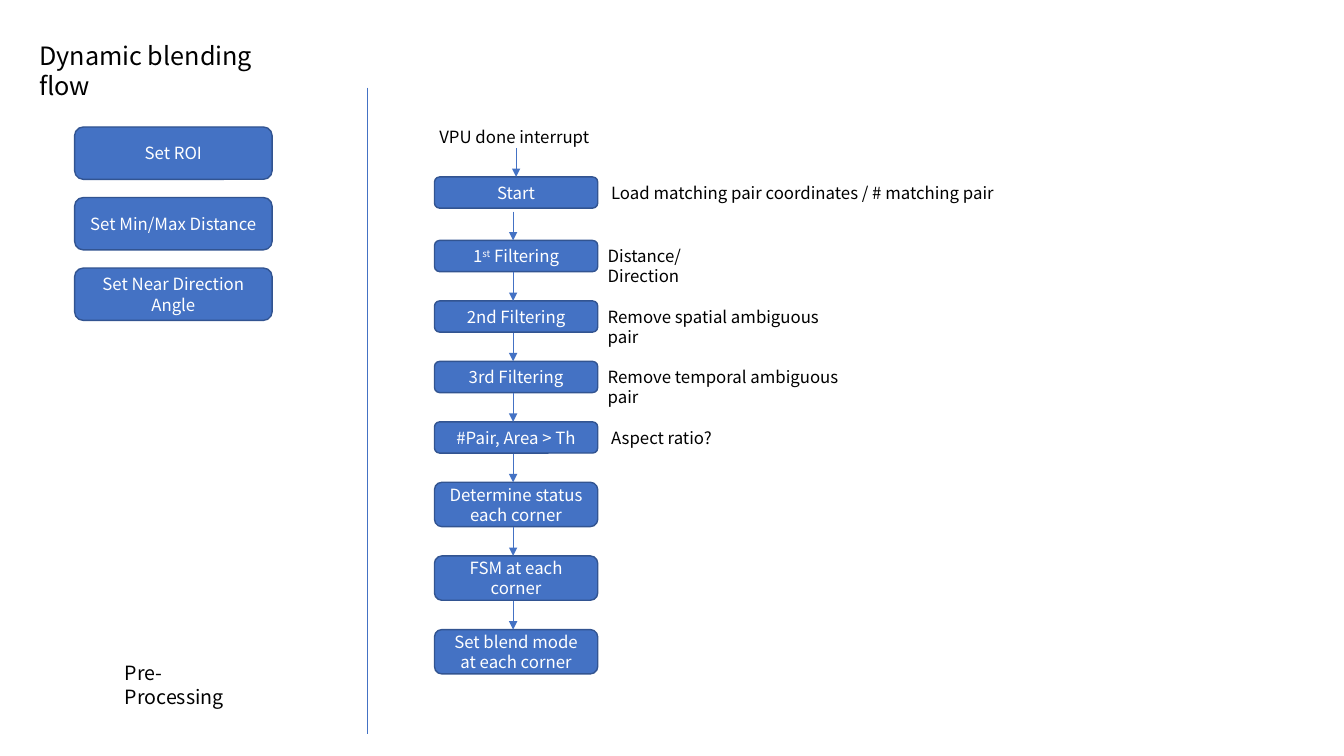
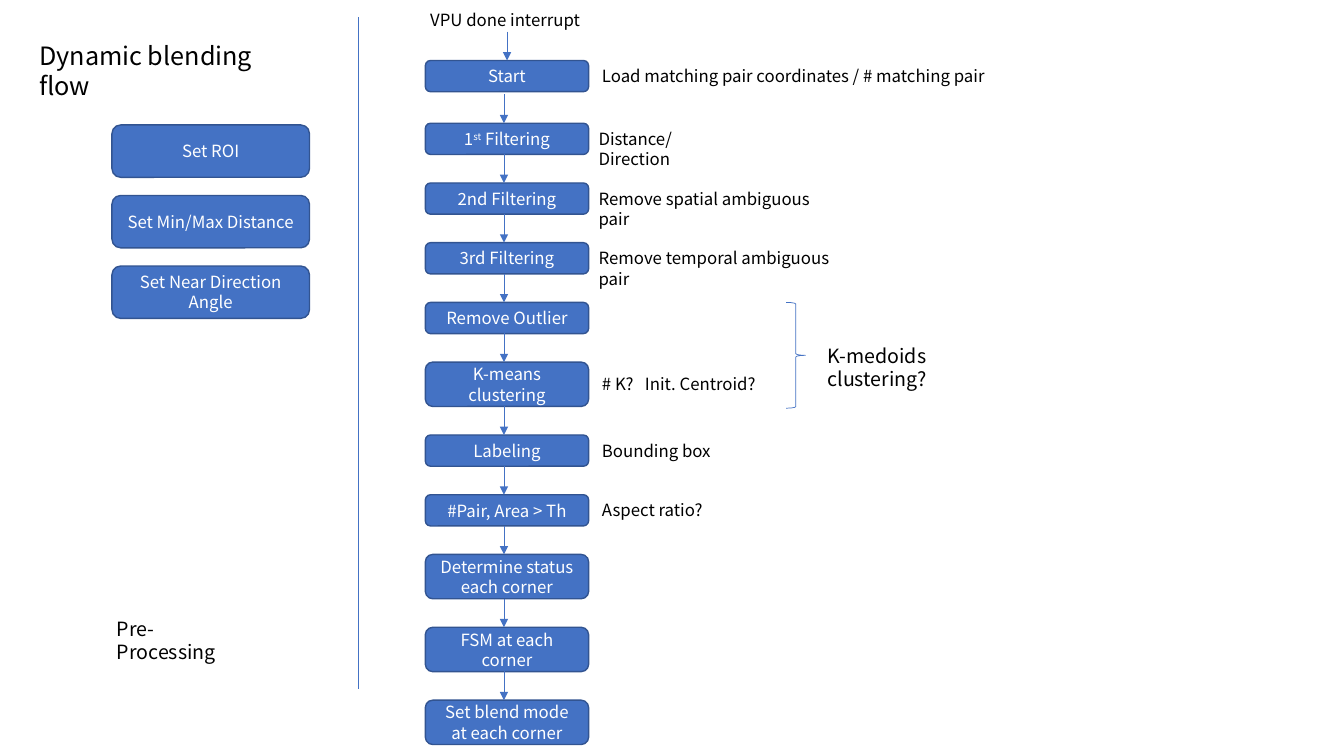
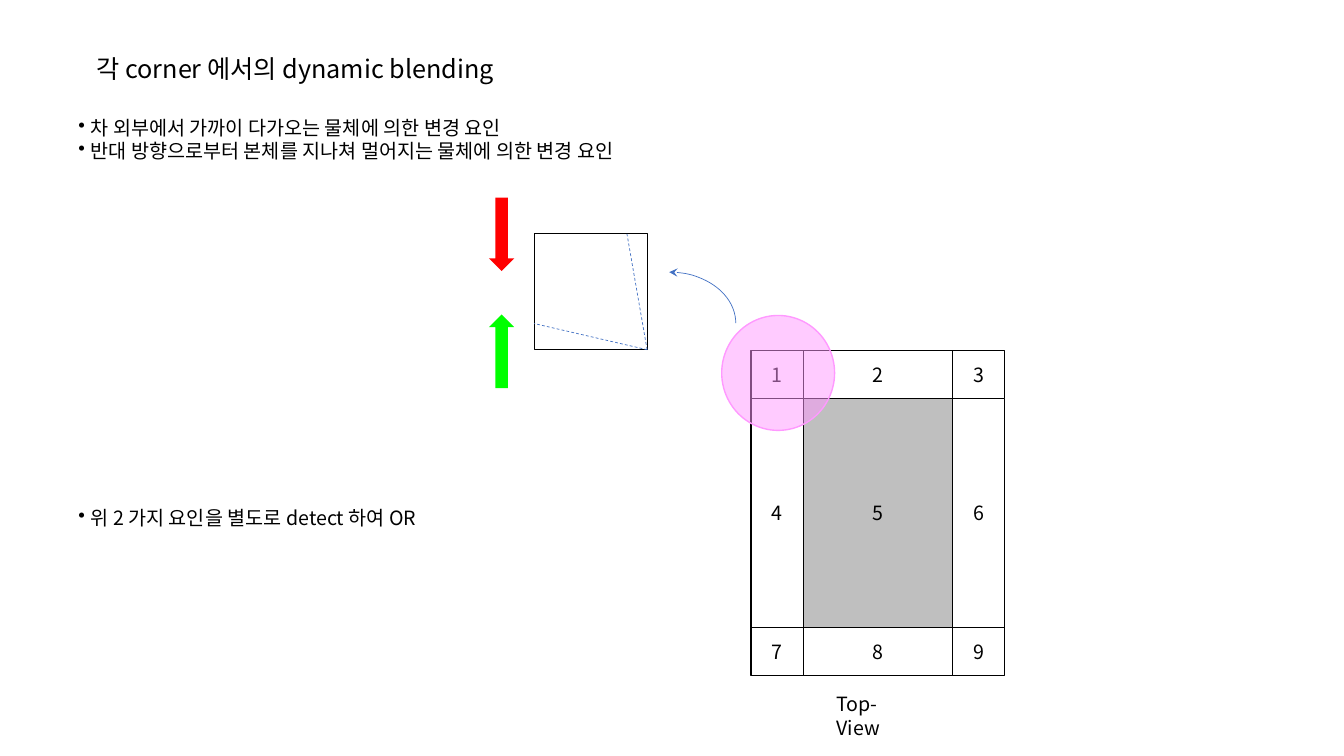
from itertools import product

from lxml import etree
from pptx import Presentation, util as u
from pptx.dml.color import RGBColor
from pptx.enum import dml, shapes, text
from pptx.oxml import ns

W, H = u.Inches(13.33), u.Inches(7.5)
FONT = "Noto Sans CJK KR"
BLUE = RGBColor(0x44, 0x72, 0xC4)
NAVY = RGBColor(0x32, 0x54, 0x91)
WHITE = RGBColor(0xFF, 0xFF, 0xFF)
BLACK = RGBColor(0x00, 0x00, 0x00)
SILVER = RGBColor(0xBF, 0xBF, 0xBF)
GREY = RGBColor(0x80, 0x80, 0x80)
PINK = RGBColor(0xFF, 0x99, 0xFF)
RED = RGBColor(0xFF, 0x00, 0x00)
GREEN = RGBColor(0x00, 0xFF, 0x00)

SHAPE = shapes.MSO_SHAPE
CENTER = text.PP_ALIGN.CENTER

STEP_W, LOW, TALL = 12.15, 4.13, 5.87
SET_W, SET_H, SET_PITCH = 14.7, 6.93, 9.33
ARROW_H = 3.8
NEAR, FAR = STEP_W, 12.4

HEAD_STEPS = [
    ("Start", LOW, ("Load matching pair coordinates / # matching pair", FAR, 30.3)),
    (("1", "st", " Filtering"), LOW, ("Distance/Direction", NEAR, 12.08)),
    ("2nd Filtering", LOW, ("Remove spatial ambiguous pair", NEAR, 19.65)),
    ("3rd Filtering", LOW, ("Remove temporal ambiguous pair", NEAR, 21.08)),
]
CLUSTER_STEPS = [
    ("Remove Outlier", LOW, None),
    ("K-means clustering", TALL, ("# K?   Init. Centroid?", FAR, 13.43)),
    ("Labeling", LOW, ("Bounding box", FAR, 9.6)),
]
TAIL_STEPS = [
    ("#Pair, Area > Th", LOW, ("Aspect ratio?", FAR, 9)),
    ("Determine status each corner", TALL, None),
    ("FSM at each corner", TALL, None),
    ("Set blend mode at each corner", TALL, None),
]


def across(share):
    return int(W * share / 100)


def down(share):
    return int(H * share / 100)


def area(x, y, w, h):
    return across(x), down(y), across(w), down(h)


def sub(parent, tag, **attrs):
    return etree.SubElement(parent, ns.qn(tag), attrs)


def style(p, size, color, align=None):
    p.font.size = u.Pt(size)
    p.font.color.rgb = color
    p.font.name = FONT
    p.alignment = align
    sub(p._p.pPr.find(ns.qn("a:defRPr")), "a:ea", typeface=FONT)


def write(sp, words, size, color, align=None):
    p = sp.text_frame.paragraphs[0]
    style(p, size, color, align)
    parts = (words,) if isinstance(words, str) else words
    for i, part in enumerate(parts):
        r = p.add_run()
        r.text = part
        if i == 1:
            r._r.get_or_add_rPr().set("baseline", "30000")


def label(s, words, x, y, w, h=4, size=12):
    sp = s.shapes.add_textbox(*area(x, y, w, h))
    sp.text_frame.word_wrap = True
    write(sp, words, size, BLACK)


def title(s, words, x, y, w):
    label(s, words, x, y, w, 5.33, 18)


def caption(s, words, x, y, w):
    label(s, words, x, y, w, 4.53, 14)


def bullets(s, lines, x, y, w, h):
    tf = s.shapes.add_textbox(*area(x, y, w, h)).text_frame
    tf.word_wrap = True
    for i, line in enumerate(lines):
        p = tf.paragraphs[0] if i == 0 else tf.add_paragraph()
        p.text = line
        style(p, 14, BLACK)
        pPr = p._p.pPr
        indent = u.Inches(0.12)
        pPr.set("marL", str(indent))
        pPr.set("indent", str(-indent))
        bullet = sub(pPr, "a:buChar", char="•")
        pPr.find(ns.qn("a:defRPr")).addprevious(bullet)


def figure(s, kind, x, y, w, h, fill=None, line=None, weight=0.5):
    sp = s.shapes.add_shape(kind, *area(x, y, w, h))
    sp.shadow.inherit = False
    if fill is None:
        sp.fill.background()
    else:
        sp.fill.solid()
        sp.fill.fore_color.rgb = fill
    if line is None:
        sp.line.fill.background()
    else:
        sp.line.color.rgb = line
        sp.line.width = u.Pt(weight)
    return sp


def step(s, words, x, y, w, h):
    sp = figure(s, SHAPE.ROUNDED_RECTANGLE, x, y, w, h, BLUE, NAVY, 1)
    sp.text_frame.word_wrap = True
    write(sp, words, 12, WHITE, CENTER)


def line(s, x1, y1, x2, y2, arrow=False, dash=False):
    c = s.shapes.add_connector(shapes.MSO_CONNECTOR.STRAIGHT,
                               across(x1), down(y1), across(x2), down(y2))
    c.line.color.rgb = BLUE
    c.line.width = u.Pt(0.5)
    if dash:
        c.line.dash_style = dml.MSO_LINE.DASH
    if arrow:
        sub(c.line._get_or_add_ln(), "a:tailEnd", type="triangle")
    sub(c._element.spPr, "a:effectLst")


def settings(s, x, y):
    for i, words in enumerate(("Set ROI", "Set Min/Max Distance", "Set Near Direction Angle")):
        step(s, words, x, y + i * SET_PITCH, SET_W, SET_H)


def flow(s, steps, x, y, gap):
    label(s, "VPU done interrupt", x - 0.38, y - 7.33, 12.75)
    for i, (words, h, note) in enumerate(steps):
        step(s, words, x, y, STEP_W, h)
        shaft = x + (5.85 if i else STEP_W / 2)
        line(s, shaft, y - ARROW_H, shaft, y, arrow=True)
        if note:
            remark, offset, w = note
            label(s, remark, x + offset, y + (h - 4) / 2, w)
        y += h + gap + (0 if i else 0.4)


def flow_slide(s, steps, x, y, gap, divider, set_at, pre_at):
    title(s, "Dynamic blending flow", 2.18, 4.67, 21.38)
    line(s, *divider)
    settings(s, *set_at)
    caption(s, "Pre-Processing", *pre_at, 11.33)
    flow(s, steps, x, y, gap)


def top_view(s, x, y):
    widths, heights = (3.9, 11.1, 3.9), (6.27, 30.4, 6.27)
    cells = [(row * 3 + col + 1, row, col) for row, col in product(range(3), repeat=2)]
    for n, row, col in sorted(cells, key=lambda cell: cell[0] != 5):
        fill, edge = (SILVER, GREY) if n == 5 else (WHITE, BLACK)
        sp = figure(s, SHAPE.RECTANGLE, x + sum(widths[:col]), y + sum(heights[:row]),
                    widths[col], heights[row], fill, edge, 0.75)
        write(sp, str(n), 14, BLACK, CENTER)
    spot = figure(s, SHAPE.OVAL, 53.7, 41.73, 8.4, 15.2, PINK, PINK, 1)
    color = spot._element.spPr.find(ns.qn("a:solidFill"))[0]
    sub(color, "a:alpha", val="50000")
    caption(s, "Top-View", 61.5, 90.93, 7.65)


def corner_detail(s, x, y, w, h):
    arc = figure(s, SHAPE.ARC, 44.85, 36, 9.9, 13.47, line=BLUE)
    sub(arc.line._get_or_add_ln(), "a:headEnd", type="stealth")
    figure(s, SHAPE.RECTANGLE, x, y, w, h, WHITE, BLACK, 0.75)
    for x2, y2 in ((x, 42.8), (46.65, y)):
        line(s, x + w, y + h, x2, y2, dash=True)
    for top, color, turn in ((26.13, RED, 0), (41.6, GREEN, 180)):
        sp = figure(s, SHAPE.DOWN_ARROW, 36.38, top, 1.88, 9.73, color)
        sp.rotation = turn


def corner_slide(s):
    top_view(s, 55.88, 46.4)
    corner_detail(s, 39.75, 30.93, 8.4, 15.33)
    title(s, "각 corner 에서의 dynamic blending", 6.45, 6.4, 31.95)
    bullets(s, ["차 외부에서 가까이 다가오는 물체에 의한 변경 요인",
                "반대 방향으로부터 본체를 지나쳐 멀어지는 물체에 의한 변경 요인"],
            5.1, 14.67, 47.1, 7.6)
    bullets(s, ["위 2 가지 요인을 별도로 detect 하여 OR"], 5.1, 66.27, 29.55, 4.53)


def main():
    prs = Presentation()
    prs.slide_width, prs.slide_height = W, H
    basic, clustered, corner = [prs.slides.add_slide(prs.slide_layouts[6]) for _ in range(3)]
    flow_slide(basic, HEAD_STEPS + TAIL_STEPS, 32.33, 23.4, 3.87,
               (27.3, 11.6, 27.3, 97.07), (5.55, 16.8), (8.55, 86.8))
    flow_slide(clustered, HEAD_STEPS + CLUSTER_STEPS + TAIL_STEPS, 31.65, 8, 3.77,
               (26.7, 2.27, 26.7, 91.2), (8.33, 16.53), (7.95, 80.93))
    figure(clustered, SHAPE.RIGHT_BRACE, 58.5, 40, 1.43, 14, line=BLUE)
    caption(clustered, "K-medoids clustering?", 60.83, 44.8, 16.43)
    corner_slide(corner)
    prs.save("out.pptx")


if __name__ == "__main__":
    main()
